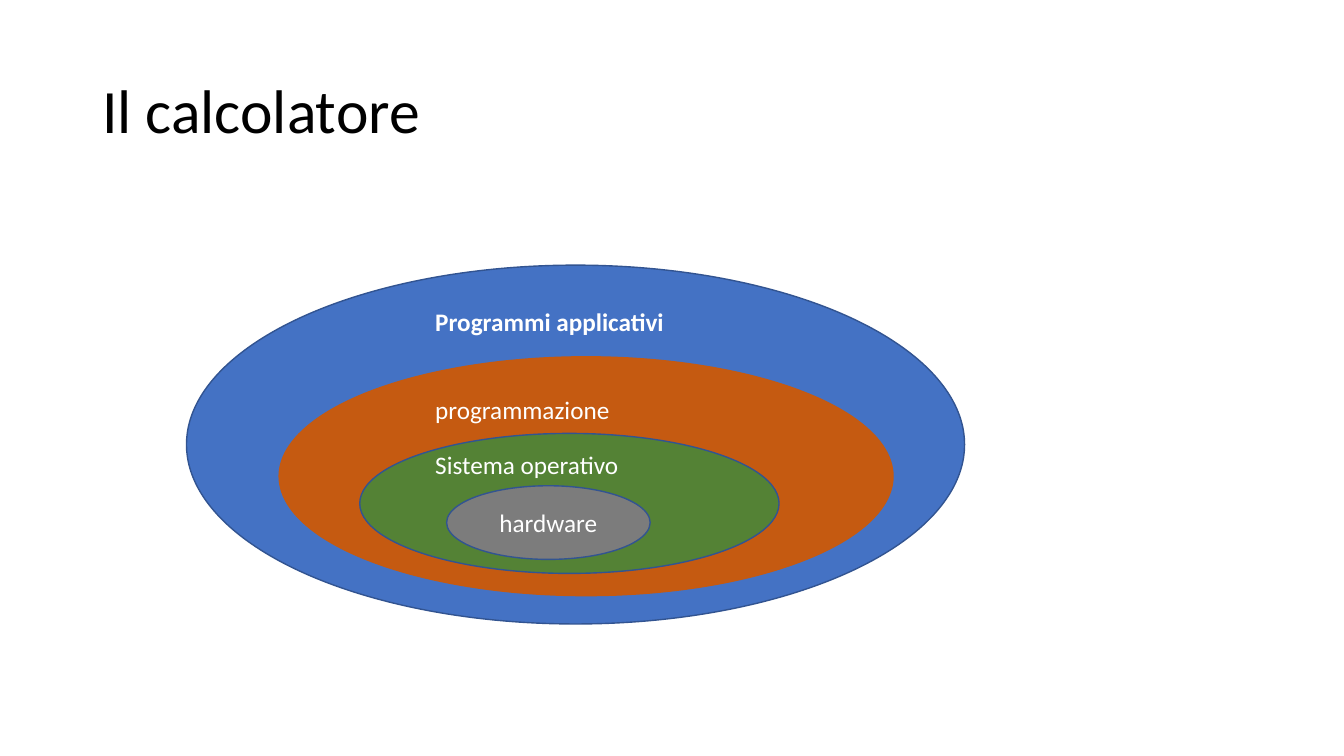
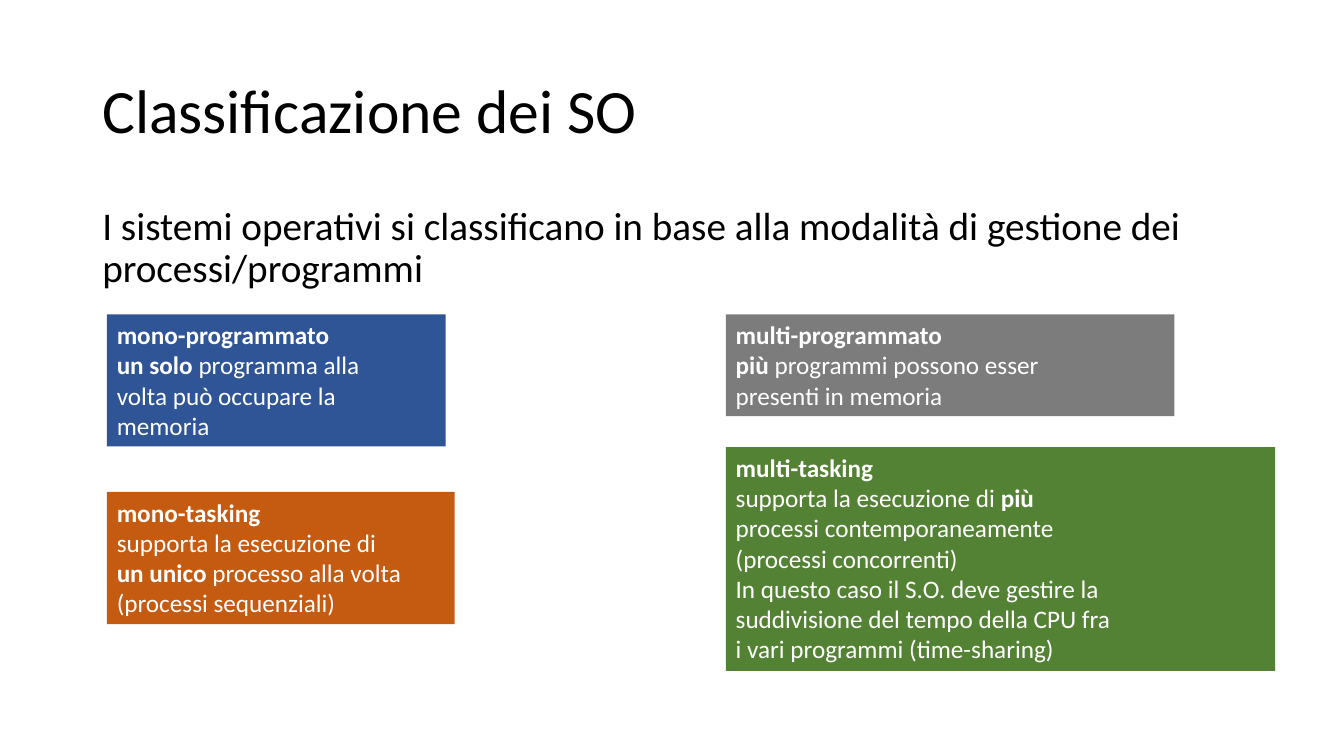
"""Build two slides on the layers of a computer and the kinds of operating system."""
from pptx import Presentation
from pptx.dml.color import RGBColor
from pptx.enum.shapes import MSO_SHAPE
from pptx.enum.text import MSO_ANCHOR, PP_ALIGN
from pptx.util import Pt

OVAL = MSO_SHAPE.OVAL
TOP, MIDDLE = MSO_ANCHOR.TOP, MSO_ANCHOR.MIDDLE
LEFT, CENTER = PP_ALIGN.LEFT, PP_ALIGN.CENTER
FONT = "Calibri"
BLACK = RGBColor(0x00, 0x00, 0x00)
WHITE = RGBColor(0xFF, 0xFF, 0xFF)
BLUE = RGBColor(0x44, 0x72, 0xC4)
NAVY = RGBColor(0x2F, 0x55, 0x97)
EDGE = RGBColor(0x32, 0x54, 0x91)
RUST = RGBColor(0xC5, 0x5A, 0x11)
GREEN = RGBColor(0x54, 0x82, 0x35)
GRAY = RGBColor(0x7C, 0x7C, 0x7C)


def write(shape, lines, size=18, color=WHITE, anchor=TOP, align=LEFT, space=1.0):
    """Fill a shape with lines, each a list of (text, bold) runs."""
    frame = shape.text_frame
    frame.word_wrap = True
    frame.vertical_anchor = anchor
    for i, line in enumerate(lines):
        para = frame.add_paragraph() if i else frame.paragraphs[0]
        para.alignment = align
        para.line_spacing = space
        for text, bold in line:
            run = para.add_run()
            run.text = text
            run.font.name = FONT
            run.font.size = Pt(size)
            run.font.bold = bold
            run.font.color.rgb = color


def add_box(slide, left, top, width, height):
    """Add a text box placed in points."""
    return slide.shapes.add_textbox(Pt(left), Pt(top), Pt(width), Pt(height))


deck = Presentation()
deck.slide_width, deck.slide_height = Pt(960), Pt(540)

slides = []
for title in ("Il calcolatore", "Classificazione dei SO"):
    slide = deck.slides.add_slide(deck.slide_layouts[6])
    box = add_box(slide, 66, 28.8, 828, 104.4)
    write(box, [[(title, False)]], 44, BLACK, MIDDLE, space=0.9)
    slides.append(slide)
layers, kinds = slides

RINGS = [
    (133.2, 189.4, 555.8, 256.3, BLUE, EDGE, "Programmi applicativi", True, 215.3),
    (199.4, 254.9, 438.5, 170.6, RUST, RUST, "programmazione", False, 278),
    (257, 309.6, 299.5, 100, GREEN, EDGE, "Sistema operativo", False, 317.5),
    (319, 347, 145.4, 52.6, GRAY, EDGE, "hardware", False, None),
]
for left, top, width, height, fill, edge, name, bold, row in RINGS:
    ring = layers.shapes.add_shape(OVAL, Pt(left), Pt(top), Pt(width), Pt(height))
    ring.shadow.inherit = False
    ring.fill.solid()
    ring.fill.fore_color.rgb = fill
    ring.line.color.rgb = edge
    ring.line.width = Pt(1)
    if row is None:
        write(ring, [[(name, bold)]], anchor=MIDDLE, align=CENTER)
    else:
        write(add_box(layers, 303.8, row, 243, 29), [[(name, bold)]])

intro = ("I sistemi operativi si classificano in base alla modalità "
         "di gestione dei processi/programmi")
write(add_box(kinds, 66, 144, 828, 81.4), [[(intro, False)]], 28, BLACK, space=0.9)

CARDS = [
    (76.3, 224.6, 242, NAVY, [
        [("mono-programmato", True)],
        [("un solo ", True), ("programma alla", False)],
        [("volta può occupare la", False)],
        [("memoria", False)],
    ]),
    (76.3, 351.4, 248.4, RUST, [
        [("mono-tasking", True)],
        [("supporta la esecuzione di", False)],
        [("un unico ", True), ("processo alla volta", False)],
        [("(processi sequenziali)", False)],
    ]),
    (518.4, 224.6, 320.4, GRAY, [
        [("multi-programmato", True)],
        [("più ", True), ("programmi possono esser", False)],
        [("presenti in memoria", False)],
    ]),
    (518.4, 319.4, 392.4, GREEN, [
        [("multi-tasking", True)],
        [("supporta la esecuzione di ", False), ("più", True)],
        [("processi contemporaneamente", False)],
        [("(processi concorrenti)", False)],
        [("In questo caso il S.O. deve gestire la", False)],
        [("suddivisione del tempo della CPU fra", False)],
        [("i vari programmi (time-sharing)", False)],
    ]),
]
for left, top, width, fill, lines in CARDS:
    card = add_box(kinds, left, top, width, 7.2 + 21.8 * len(lines))
    card.fill.solid()
    card.fill.fore_color.rgb = fill
    write(card, lines)

deck.save("out.pptx")
